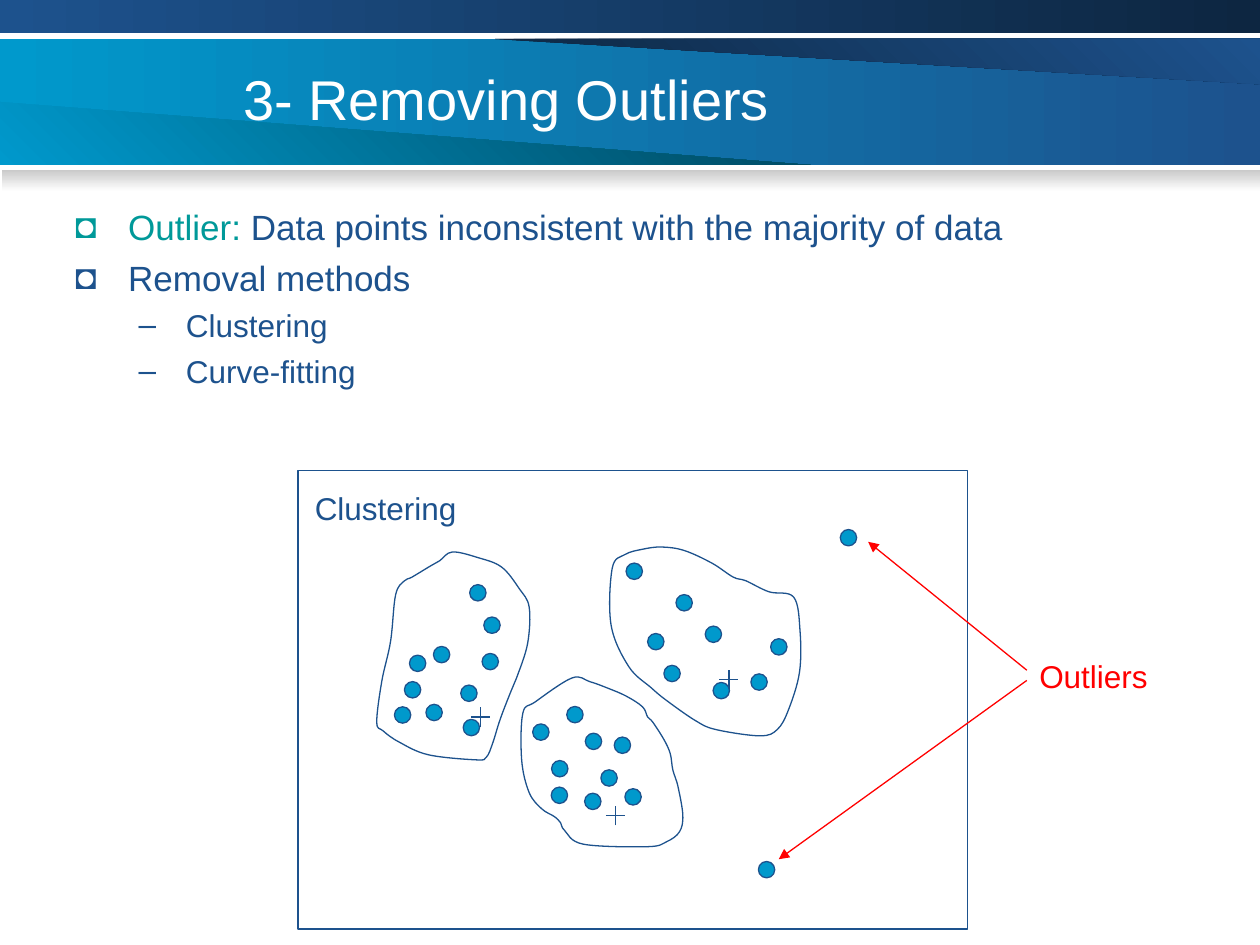
from lxml import etree
from pptx import Presentation
from pptx.dml.color import RGBColor
from pptx.enum.shapes import MSO_CONNECTOR, MSO_SHAPE
from pptx.enum.text import MSO_ANCHOR
from pptx.oxml.ns import qn
from pptx.util import Pt

STRAIGHT = MSO_CONNECTOR.STRAIGHT
RECT = MSO_SHAPE.RECTANGLE
DOT = MSO_SHAPE.FLOWCHART_CONNECTOR
TOP, MIDDLE = MSO_ANCHOR.TOP, MSO_ANCHOR.MIDDLE

COLORS = {"sky": "0099CC", "blue": "1D528D", "navy": "0D2641", "petrol": "00475E",
          "teal": "009999", "red": "FF0000", "white": "FFFFFF", "gray": "CACACA"}
FONT = "Arial"
DOT_SIZE = 9.36
CROSS_ARM = 5.5

LEFT_DOTS = [(243.4, 402.5), (231.1, 389.5), (263.3, 391.5), (247.7, 369.4), (225.4, 403.9),
             (234, 374.4), (264.7, 411.1), (275.5, 373.4), (276.5, 352.6), (268.4, 334.1)]
RIGHT_DOTS = [(386.3, 339.8), (379.4, 380.2), (403, 357.8), (370.1, 362),
              (440.4, 365), (429.1, 385.1), (407.5, 390), (357.8, 321.8)]
LOWER_DOTS = [(304.4, 413.7), (351, 421.2), (334.1, 453.3), (343.4, 439.9), (315.2, 434.6),
              (315, 449.8), (323.9, 403.7), (334.5, 419), (357.1, 450.7)]
OUTLIER_DOTS = [(433.4, 492.3), (480.2, 302.6)]
CENTROIDS = [(351.7, 466.2), (416.5, 388.4), (274.6, 409.7)]

RIGHT_OUTLINE = [
    (453.6, 341.3), (457.2, 360.7), (456.9, 384.1), (450.7, 405.4), (444.2, 416.9),
    (434.2, 420.5), (409, 416.9), (397.4, 411.8), (380.9, 400.3),
    (372.2, 393.1), (359.3, 380.9), (349.2, 357.1), (349.9, 324.7),
    (357.2, 316.9), (367.2, 313.9), (378, 312.6), (391, 314.6), (406.8, 321.8),
    (419, 329.8), (426.2, 331.9), (439.4, 338.2)]
LOWER_OUTLINE = [
    (320.4, 470.2), (316.8, 466.6), (309.6, 462.2), (302.4, 452.9),
    (298.1, 434.2), (298.8, 407.5), (306, 401), (326.9, 387.4),
    (337, 389.5), (347, 393.1), (357.7, 397.7), (367.2, 403.9), (370.1, 409.7),
    (373, 412.6), (379.4, 422.6), (383, 430.6), (384.5, 439.9), (387.4, 449.3),
    (390.2, 465.8), (388.3, 475.3), (380.9, 481), (370.1, 483.8),
    (333.4, 482.4), (322.6, 474.5)]
LEFT_OUTLINE = [
    (291.6, 396), (285.8, 411.1), (281.5, 424.8), (277.9, 432.7), (272.2, 434.2),
    (244.8, 431.3), (228.2, 424.1), (218.9, 417.6), (215.3, 412.6),
    (218.2, 389.2), (223.2, 366.5), (226.1, 339.8), (231.1, 331.9), (235.4, 329.8),
    (246.2, 323.3), (251.3, 320.4), (258.5, 315.4), (273, 318.6), (286.6, 324),
    (296.6, 336.2), (302.4, 347), (301.5, 367.7), (295.2, 387.4)]


def rgb(name):
    """Return the named colour."""
    return RGBColor.from_string(COLORS[name])


def round_off(sp):
    """Turn the straight sides of a closed freeform into smooth curves."""
    outline = next(sp._element.iter(qn("a:path")))
    points = [(int(pt.get("x")), int(pt.get("y"))) for pt in outline.iter(qn("a:pt"))]
    for side in outline.findall(qn("a:lnTo")):
        outline.remove(side)
    close = outline.find(qn("a:close"))
    n = len(points)
    for i in range(n):
        a, b, c, d = (points[(i + k) % n] for k in (-1, 0, 1, 2))
        curve = etree.Element(qn("a:cubicBezTo"))
        leave = [q + (r - p) // 6 for p, q, r in zip(a, b, c)]
        arrive = [r - (s - q) // 6 for q, r, s in zip(b, c, d)]
        for x, y in (leave, arrive, c):
            etree.SubElement(curve, qn("a:pt"), x=str(x), y=str(y))
        close.addprevious(curve)


class SlideBuilder:
    """Hold the style and the current slide."""

    def __init__(self, slide, font=FONT, line_width=0.75):
        self.slide = slide
        self.font = font
        self.line_width = line_width

    def paint(self, sp, fill=None, line=None, angle=0):
        """Set a solid, gradient or empty fill and the outline."""
        sp.shadow.inherit = False
        if isinstance(fill, tuple):
            sp.fill.gradient()
            sp.fill.gradient_angle = angle
            for stop, name in zip(sp.fill.gradient_stops, fill):
                stop.color.rgb = rgb(name)
        elif fill:
            sp.fill.solid()
            sp.fill.fore_color.rgb = rgb(fill)
        else:
            sp.fill.background()
        if line:
            sp.line.color.rgb = rgb(line)
            sp.line.width = Pt(self.line_width)
        else:
            sp.line.fill.background()

    def shape(self, kind, x, y, w, h, **style):
        """Add a preset shape."""
        sp = self.slide.shapes.add_shape(kind, Pt(x), Pt(y), Pt(w), Pt(h))
        self.paint(sp, **style)

    def outline(self, points, curved=False, **style):
        """Add a closed freeform with straight or curved sides."""
        start, *rest = [(Pt(x), Pt(y)) for x, y in points]
        builder = self.slide.shapes.build_freeform(*start)
        builder.add_line_segments(rest, close=True)
        sp = builder.convert_to_shape()
        if curved:
            round_off(sp)
        self.paint(sp, **style)

    def line(self, x1, y1, x2, y2, color="blue", arrow=False):
        """Add a straight line, with an arrowhead at its end on request."""
        cx = self.slide.shapes.add_connector(STRAIGHT, Pt(x1), Pt(y1), Pt(x2), Pt(y2))
        cx.line.color.rgb = rgb(color)
        cx.line.width = Pt(self.line_width)
        if arrow:
            etree.SubElement(cx.line._get_or_add_ln(), qn("a:tailEnd"), type="triangle")
        etree.SubElement(cx._element.spPr, qn("a:effectLst"))

    def cross(self, x, y, arm=CROSS_ARM):
        """Add a centroid mark."""
        self.line(x - arm, y, x + arm, y)
        self.line(x, y + arm, x, y - arm)

    def text_box(self, x, y, w, h, anchor=TOP):
        """Add an empty wrapping text box and return its frame."""
        tf = self.slide.shapes.add_textbox(Pt(x), Pt(y), Pt(w), Pt(h)).text_frame
        tf.word_wrap = True
        tf.vertical_anchor = anchor
        return tf

    def run(self, p, text, size, color):
        """Add one run to a paragraph."""
        r = p.add_run()
        r.text = text
        r.font.name = self.font
        r.font.size = Pt(size)
        r.font.color.rgb = rgb(color)

    def label(self, x, y, w, h, text, size, color, anchor=TOP):
        """Add a text box with one run."""
        self.run(self.text_box(x, y, w, h, anchor).paragraphs[0], text, size, color)

    def bullets(self, x, y, w, h, items):
        """Add a bulleted list of (level, runs) items."""
        tf = self.text_box(x, y, w, h)
        for i, (level, runs) in enumerate(items):
            p = tf.paragraphs[0] if i == 0 else tf.add_paragraph()
            size, space, margin, indent, char = (
                (18, 4.5, 63.2, 27, "–") if level else (20, 5, 30.2, 30.2, "◘"))
            p.level = level
            p.space_before = Pt(space if i else 0)
            pPr = p._p.get_or_add_pPr()
            pPr.set("marL", str(Pt(margin)))
            pPr.set("indent", str(-Pt(indent)))
            clr = etree.SubElement(pPr, qn("a:buClr"))
            etree.SubElement(clr, qn("a:srgbClr"), val=COLORS[runs[0][1]])
            etree.SubElement(pPr, qn("a:buFont"), typeface=self.font)
            etree.SubElement(pPr, qn("a:buChar"), char=char)
            for text, color in runs:
                self.run(p, text, size, color)


def main():
    """Build the slide."""
    prs = Presentation()
    prs.slide_width, prs.slide_height = Pt(720), Pt(540)
    s = SlideBuilder(prs.slides.add_slide(prs.slide_layouts[6]))

    s.shape(RECT, 0, 22.3, 720, 72, fill=("sky", "blue"))
    s.outline([(283, 22.3), (720, 48.2), (720, 22.3)], fill=("navy", "blue"), angle=45)
    s.outline([(0, 94.3), (463, 94.3), (0, 58.3)], fill=("sky", "petrol"), angle=45)
    s.shape(RECT, 0, 0, 720, 18.7, fill=("blue", "navy"))
    s.shape(RECT, 0.9, 97.2, 719.1, 12.2, fill=("gray", "white"), angle=270)

    s.label(131.8, 21.6, 522, 68.4, "3- Removing Outliers", 32, "white", MIDDLE)
    s.bullets(36, 113.8, 648, 389.5, [
        (0, [("Outlier: ", "teal"),
             ("Data points inconsistent with the majority of data", "blue")]),
        (0, [("Removal methods", "blue")]),
        (1, [("Clustering", "blue")]),
        (1, [("Curve-fitting", "blue")])])

    s.shape(RECT, 170.4, 268.8, 382.4, 262, line="blue")
    for x, y in CENTROIDS:
        s.cross(x, y)
    for x, y in LEFT_DOTS + RIGHT_DOTS + LOWER_DOTS + OUTLIER_DOTS:
        s.shape(DOT, x, y, DOT_SIZE, DOT_SIZE, fill="sky", line="blue")
    for points in (RIGHT_OUTLINE, LOWER_OUTLINE, LEFT_OUTLINE):
        s.outline(points, curved=True, line="blue")

    s.label(172.8, 275.8, 96.5, 28.8, "Clustering", 18, "blue")
    s.line(586.8, 383, 496.1, 309.6, "red", arrow=True)
    s.line(586.8, 388.8, 445, 491, "red", arrow=True)
    s.label(586.8, 371.9, 79.2, 28.8, "Outliers", 18, "red")
    prs.save("out.pptx")


if __name__ == "__main__":
    main()
